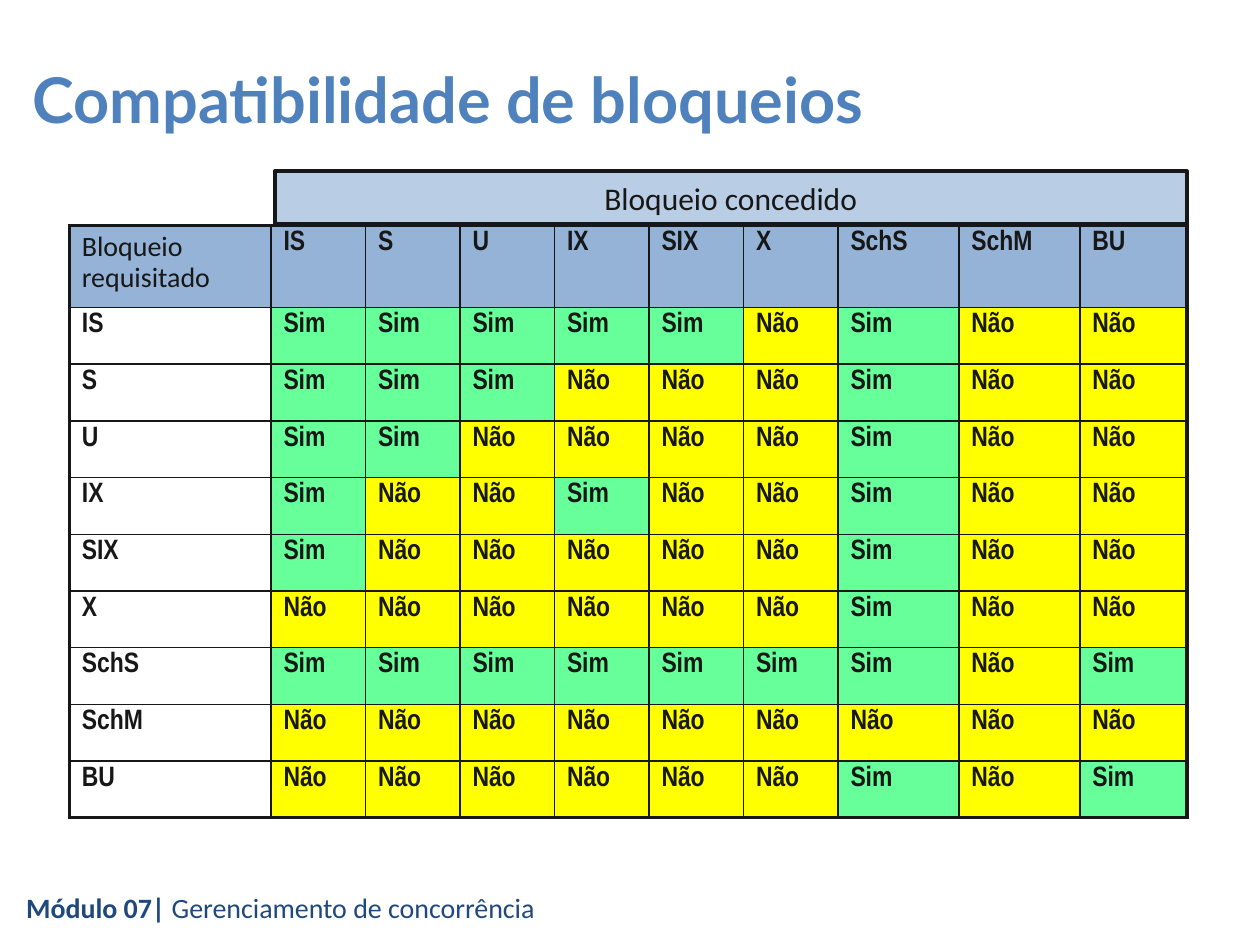
"""Build the lock compatibility slide."""
from lxml.etree import SubElement
from pptx import Presentation
from pptx.dml.color import RGBColor
from pptx.enum.shapes import MSO_SHAPE
from pptx.enum.text import MSO_ANCHOR, PP_ALIGN
from pptx.oxml.ns import qn
from pptx.util import Pt

PX = 9144
HUES = {"ink": "171717", "title": "4F81BD", "foot": "1F497D", "band": "B9CDE5",
        "head": "95B3D7", "white": "FFFFFF", "Sim": "66FF99", "Não": "FFFF00"}
MODES = ["IS", "S", "U", "IX", "SIX", "X", "SchS", "SchM", "BU"]
GRID = ["SSSSSNSNN", "SSSNNNSNN", "SSNNNNSNN", "SNNSNNSNN", "SNNNNNSNN",
        "NNNNNNSNN", "SSSSSSSNS", "NNNNNNNNN", "NNNNNNSNS"]
WORDS = {"S": "Sim", "N": "Não"}
WIDTHS = [160] + [75] * 6 + [96, 96, 85]
HEIGHTS = [65] + [45] * 9


def style(font, name, size, hue, bold=False):
    font.name, font.size, font.bold = name, Pt(size), bold
    font.color.rgb = RGBColor.from_string(HUES[hue])


def edge(cell, side, width):
    line = SubElement(cell._tc.get_or_add_tcPr(), qn(f"a:ln{side}"), w=str(Pt(width)))
    fill = SubElement(line, qn("a:solidFill"))
    SubElement(fill, qn("a:srgbClr"), val=HUES["ink"])


deck = Presentation()
deck.slide_width, deck.slide_height = 1000 * PX, 750 * PX
slide = deck.slides.add_slide(deck.slide_layouts[5])
shapes = slide.shapes

title = shapes.title
title.left, title.top, title.width, title.height = [n * PX for n in (16, 39, 984, 78)]
title.text = "Compatibilidade de bloqueios"
title.text_frame.vertical_anchor = MSO_ANCHOR.MIDDLE
para = title.text_frame.paragraphs[0]
para.alignment = PP_ALIGN.LEFT
style(para.font, "Lato", 36, "title", True)

foot = shapes.add_textbox(*[n * PX for n in (11, 702, 856, 40)])
foot.text_frame.word_wrap = True
para = foot.text_frame.paragraphs[0]
for text, bold in [("Módulo 07| ", True), ("Gerenciamento de concorrência", False)]:
    run = para.add_run()
    run.text = text
    style(run.font, "Calibri", 16, "foot", bold)

rows = [["Bloqueio requisitado"] + MODES]
rows += [[mode] + [WORDS[key] for key in keys] for mode, keys in zip(MODES, GRID)]
box = [n * PX for n in (55, 179, sum(WIDTHS), sum(HEIGHTS))]
table = shapes.add_table(len(HEIGHTS), len(WIDTHS), *box).table
for col, width in zip(table.columns, WIDTHS):
    col.width = width * PX
for row, height in zip(table.rows, HEIGHTS):
    row.height = height * PX

for r, row in enumerate(rows):
    for c, text in enumerate(row):
        cell = table.cell(r, c)
        cell.text = text
        para = cell.text_frame.paragraphs[0]
        para.line_spacing = 0.9
        corner = r == c == 0
        style(para.font, "Calibri" if corner else "Arial Narrow", 16, "ink", not corner)
        outer = {"L": c == 0, "R": c == len(row) - 1,
                 "T": r == 0, "B": r == len(rows) - 1}
        for side, thick in outer.items():
            edge(cell, side, 2.25 if thick else 1)
        hue = "head" if r == 0 else "white" if c == 0 else text
        cell.fill.solid()
        cell.fill.fore_color.rgb = RGBColor.from_string(HUES[hue])

band = shapes.add_shape(MSO_SHAPE.RECTANGLE, *[n * PX for n in (218, 136, 724, 42)])
band.shadow.inherit = False
band.fill.solid()
band.fill.fore_color.rgb = RGBColor.from_string(HUES["band"])
band.line.color.rgb = RGBColor.from_string(HUES["ink"])
band.line.width = Pt(2.25)
band.text_frame.word_wrap = False
band.text_frame.vertical_anchor = MSO_ANCHOR.MIDDLE
para = band.text_frame.paragraphs[0]
para.text = "Bloqueio concedido"
para.alignment = PP_ALIGN.CENTER
style(para.font, "Calibri", 18, "ink")

deck.save("out.pptx")
